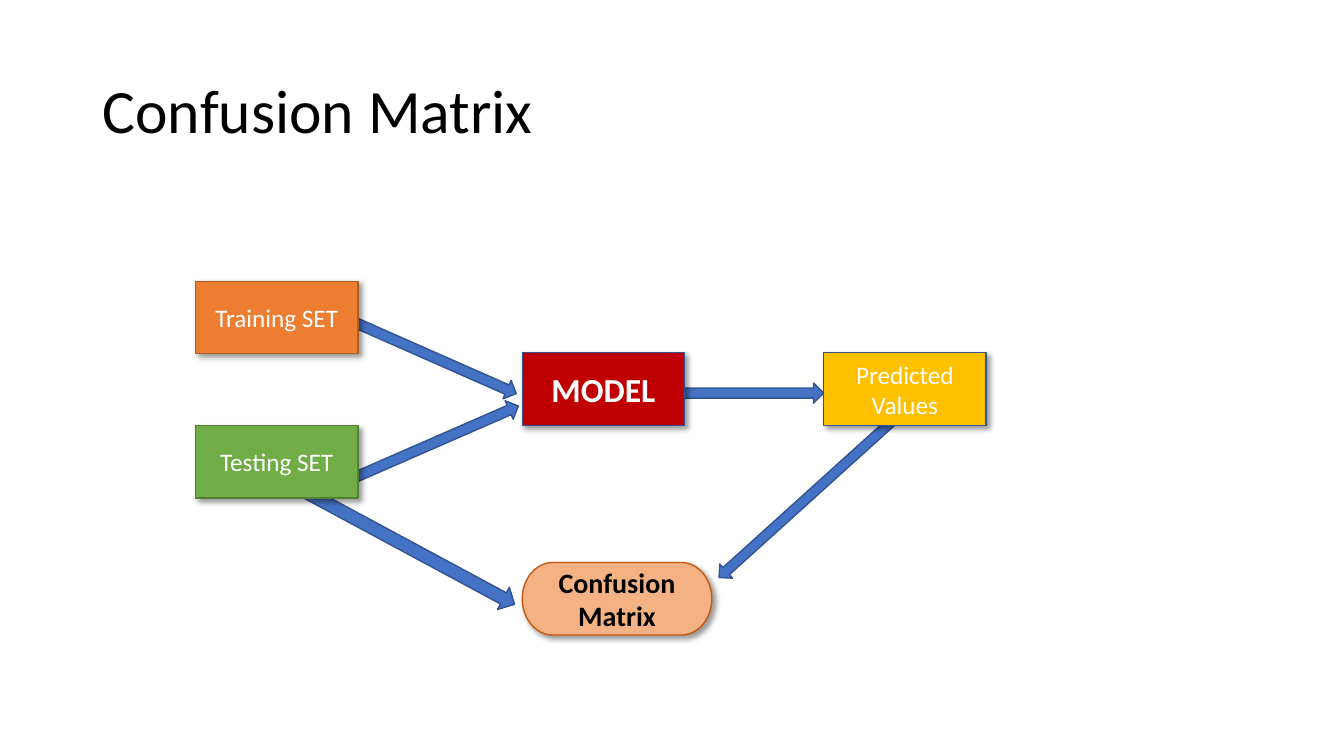
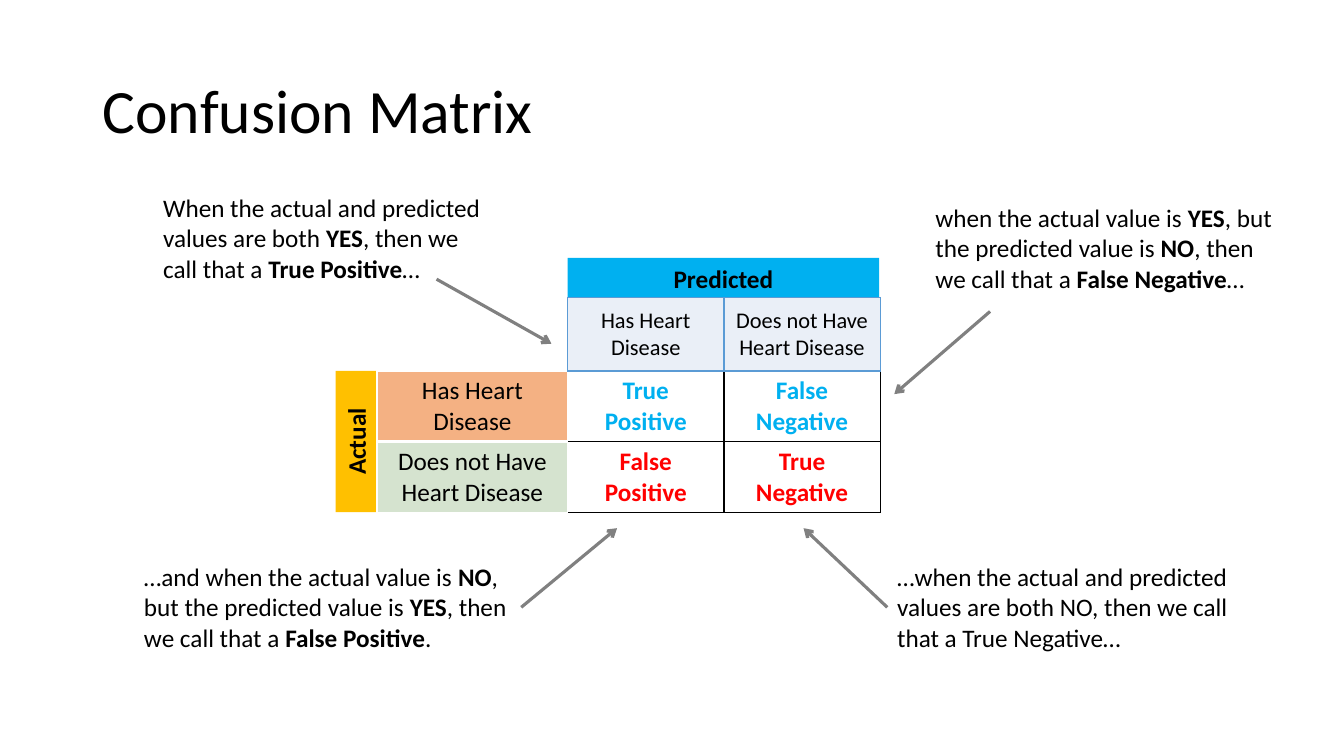
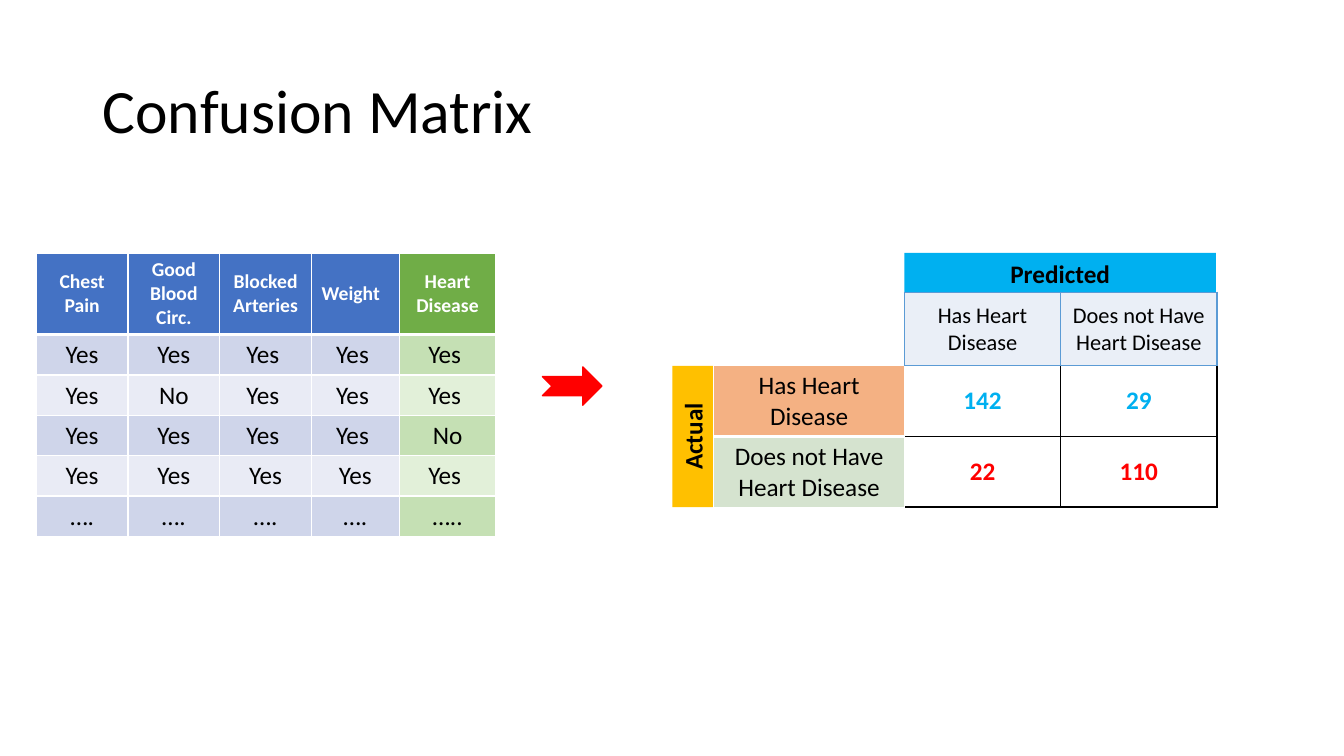
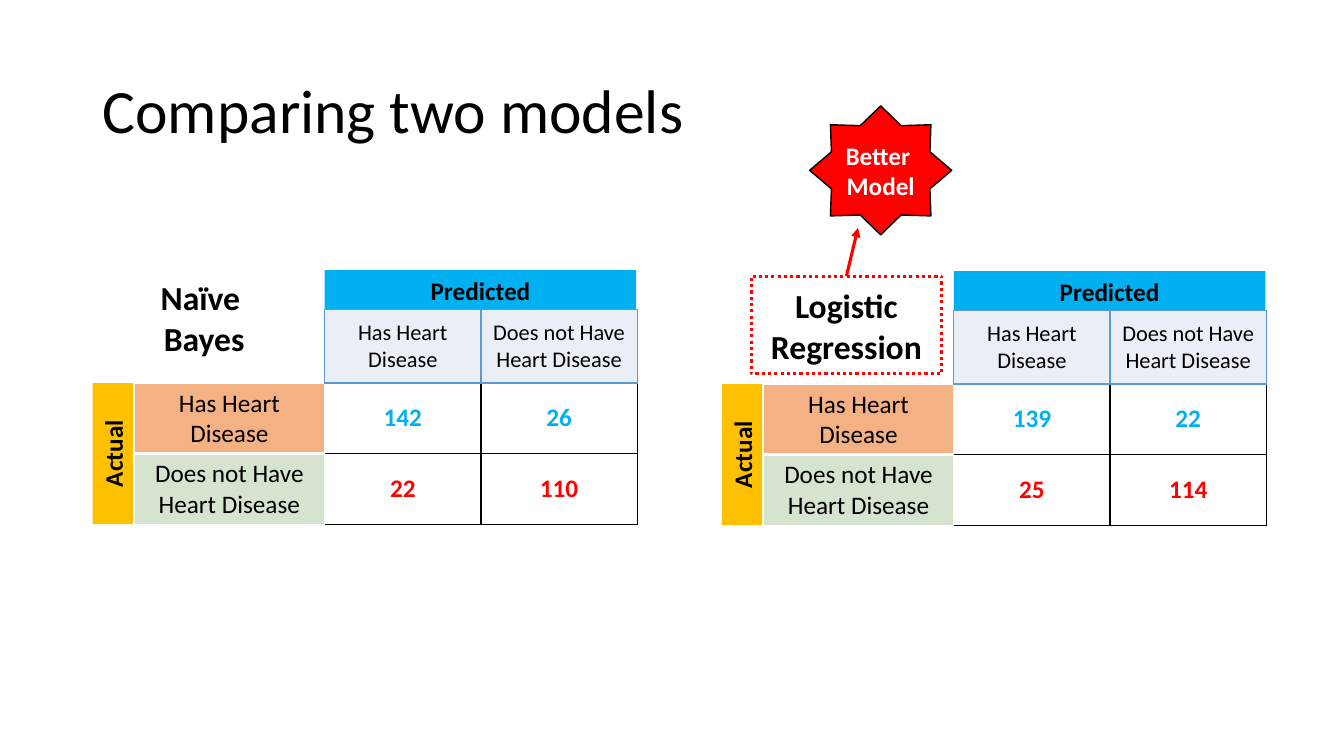
from lxml import etree
from pptx import Presentation
from pptx.dml.color import RGBColor
from pptx.enum.dml import MSO_LINE
from pptx.enum.shapes import MSO_CONNECTOR, MSO_SHAPE
from pptx.enum.text import MSO_ANCHOR, PP_ALIGN
from pptx.oxml import parse_xml
from pptx.oxml.ns import nsdecls, qn
from pptx.util import Inches, Pt

RECT, ARROW = MSO_SHAPE.RECTANGLE, MSO_SHAPE.RIGHT_ARROW
TERMINATOR, NOTCHED = MSO_SHAPE.FLOWCHART_TERMINATOR, MSO_SHAPE.NOTCHED_RIGHT_ARROW
STAR, STRAIGHT, DOTTED = MSO_SHAPE.STAR_8_POINT, MSO_CONNECTOR.STRAIGHT, MSO_LINE.ROUND_DOT
LEFT, CENTER = PP_ALIGN.LEFT, PP_ALIGN.CENTER
TOP, MIDDLE = MSO_ANCHOR.TOP, MSO_ANCHOR.MIDDLE

FONT = "Calibri"
BLACK = RGBColor(0x00, 0x00, 0x00)
WHITE = RGBColor(0xFF, 0xFF, 0xFF)
GRAY = RGBColor(0x80, 0x80, 0x80)
RED = RGBColor(0xFF, 0x00, 0x00)
DARK_RED = RGBColor(0xC0, 0x00, 0x00)
SKY = RGBColor(0x00, 0xB0, 0xF0)
BLUE = RGBColor(0x44, 0x72, 0xC4)
NAVY = RGBColor(0x32, 0x54, 0x91)
MID_BLUE = RGBColor(0x5B, 0x9B, 0xD5)
PALE_BLUE = RGBColor(0xEA, 0xEF, 0xF7)
BAND_DARK = RGBColor(0xCF, 0xD5, 0xEA)
BAND_LIGHT = RGBColor(0xE9, 0xEB, 0xF5)
GOLD = RGBColor(0xFF, 0xC0, 0x00)
ORANGE = RGBColor(0xED, 0x7D, 0x31)
ORANGE_LINE = RGBColor(0xAF, 0x5C, 0x24)
PEACH = RGBColor(0xF4, 0xB1, 0x83)
RUST = RGBColor(0xC5, 0x5A, 0x11)
GREEN = RGBColor(0x70, 0xAD, 0x47)
GREEN_LINE = RGBColor(0x53, 0x80, 0x35)
GREEN_DARK = RGBColor(0xC5, 0xE0, 0xB4)
GREEN_LIGHT = RGBColor(0xE2, 0xF0, 0xD9)
SAGE = RGBColor(0xD5, 0xE3, 0xCF)


def write(tf, text, size=18, color=BLACK, bold=False, align=CENTER, spacing=1.0):
    """Fill a text frame; a newline starts a paragraph, *asterisks* toggle bold."""
    tf.word_wrap = True
    for i, line in enumerate(text.split("\n")):
        p = tf.add_paragraph() if i else tf.paragraphs[0]
        p.alignment, p.line_spacing = align, spacing
        for j, part in enumerate(line.split("*")):
            r = p.add_run()
            r.text = part
            r.font.name, r.font.size = FONT, Pt(size)
            r.font.bold, r.font.color.rgb = bold or j % 2 == 1, color


def add_shape(s, kind, at, fill=None, line=None, width=1, rotation=0):
    sp = s.shapes.add_shape(kind, *map(Inches, at))
    sp.shadow.inherit = False
    sp.rotation = rotation
    for paint, color in ((sp.fill, fill), (sp.line.fill, line)):
        if color is None:
            paint.background()
        else:
            paint.solid()
            paint.fore_color.rgb = color
    if line is not None:
        sp.line.width = Pt(width)
    sp.text_frame.vertical_anchor = MIDDLE
    return sp


prs = Presentation()
prs.slide_width, prs.slide_height = Inches(13.33), Inches(7.5)
slides = []
for title in ["Confusion Matrix"] * 3 + ["Comparing two models"]:
    s = prs.slides.add_slide(prs.slide_layouts[6])
    tb = s.shapes.add_textbox(Inches(0.92), Inches(0.4), Inches(6.82), Inches(1.45))
    tb.text_frame.vertical_anchor = MIDDLE
    write(tb.text_frame, title, size=44, align=LEFT, spacing=0.9)
    slides.append(s)
flow, terms, example, comparison = slides

# Flow from data sets to the matrix
for at, rotation in [
    ((2.8, 5.29, 2.45, 0.25), 28.3),
    ((6.31, 3.8, 1.86, 0.2), 0),
    ((3.34, 3.43, 1.86, 0.2), 23.8),
    ((3.36, 4.3, 1.86, 0.2), 336.4),
    ((6.83, 4.85, 2.34, 0.19), 137.9),
]:
    add_shape(flow, ARROW, at, BLUE, NAVY, rotation=rotation)

for text, kind, x, y, w, fill, line, size, color, bold in [
    ("MODEL", RECT, 5.18, 3.5, 1.61, DARK_RED, NAVY, 24, WHITE, True),
    ("Confusion Matrix", TERMINATOR, 5.18, 5.58, 1.88, PEACH, RUST, 20, BLACK, True),
    ("Training SET", RECT, 1.94, 2.79, 1.61, ORANGE, ORANGE_LINE, 18, WHITE, False),
    ("Testing SET", RECT, 1.94, 4.22, 1.61, GREEN, GREEN_LINE, 18, WHITE, False),
    ("Predicted Values", RECT, 8.17, 3.5, 1.61, GOLD, NAVY, 18, WHITE, False),
]:
    sp = add_shape(flow, kind, (x, y, w, 0.72), fill, line)
    write(sp.text_frame, text, size, color, bold)
    sp._element.spPr.find(qn("a:effectLst")).append(parse_xml(
        f'<a:outerShdw {nsdecls("a")} blurRad="{Pt(4)}" dist="{Pt(3)}" dir="2700000" '
        'algn="tl" rotWithShape="0"><a:srgbClr val="000000"><a:alpha val="40000"/>'
        '</a:srgbClr></a:outerShdw>'))

# Tables: slide, left, top, widths, heights, cells, size, bold, border, first rule, open
# A cell is (text, fill, colour); an open table has no left and top border
tables = []
CLASSES = ["Has Heart Disease", "Does not Have Heart Disease"]
for s, x, y, values in [
    (terms, 5.63, 3.68, ["True\nPositive", "False\nNegative", "False\nPositive", "True\nNegative"]),
    (example, 8.97, 3.63, ["142", "29", "22", "110"]),
    (comparison, 3.22, 3.8, ["142", "26", "22", "110"]),
    (comparison, 9.46, 3.81, ["139", "22", "25", "114"]),
]:
    body = [[(v, None, color) for v in row]
            for row, color in ((values[:2], SKY), (values[2:], RED))]
    labels = [[(c, fill, BLACK)] for c, fill in zip(CLASSES, (PEACH, SAGE))]
    heads = [[(c, PALE_BLUE, BLACK) for c in CLASSES]]
    tables += [
        (s, x, y, [1.55] * 2, [0.7] * 2, body, 18, True, BLACK, 1, True),
        (s, x - 1.89, y, [1.89], [0.7] * 2, labels, 18, False, WHITE, 3, False),
        (s, x, y - 0.73, [1.55] * 2, [0.73], heads, 16, False, MID_BLUE, 1, False),
    ]
    bar = add_shape(s, RECT, (x, y - 1.12, 3.09, 0.4), SKY)
    write(bar.text_frame, "Predicted", bold=True)
    bar = add_shape(s, RECT, (x - 2.8, y + 0.5, 1.4, 0.4), GOLD, rotation=270)
    write(bar.text_frame, "Actual", bold=True)

patient_heads = ["Chest Pain", "Good Blood Circ.", "Blocked Arteries", "Weight", "Heart Disease"]
patients = [
    ["Yes", "Yes", "Yes ", "Yes ", "Yes "],
    ["Yes", "No", "Yes ", "Yes ", "Yes "],
    ["Yes", "Yes", "Yes ", "Yes ", "No"],
    ["Yes", "Yes", "Yes", "Yes", "Yes "],
    ["….", "….", "….", "….", "….."],
]
cells = [[(h, GREEN if c == 4 else BLUE, WHITE) for c, h in enumerate(patient_heads)]]
for i, row in enumerate(patients):
    band, last = ((BAND_DARK, GREEN_DARK), (BAND_LIGHT, GREEN_LIGHT))[i % 2]
    cells.append([(v, last if c == 4 else band, BLACK) for c, v in enumerate(row)])
tables.append((example, 0.36, 2.51, [0.91, 0.91, 0.91, 0.87, 0.96], [0.81] + [0.4] * 5,
               cells, 18, False, WHITE, 3, False))

for s, x, y, widths, heights, cells, size, bold, border, rule, is_open in tables:
    frame = s.shapes.add_table(len(heights), len(widths), Inches(x), Inches(y),
                               Inches(sum(widths)), Inches(sum(heights)))
    tbl = frame.table
    tbl.first_row = tbl.horz_banding = False
    for col, w in zip(tbl.columns, widths):
        col.width = Inches(w)
    for r, h in enumerate(heights):
        tbl.rows[r].height = Inches(h)
        for c, (text, fill, color) in enumerate(cells[r]):
            cell = tbl.cell(r, c)
            cell.vertical_anchor = MIDDLE
            is_head = color == WHITE
            write(cell.text_frame, text, 14 if is_head else size, color, bold or is_head,
                  LEFT if text == "Weight" else CENTER)
            if fill is None:
                cell.fill.background()
            else:
                cell.fill.solid()
                cell.fill.fore_color.rgb = fill
            tcPr = cell._tc.get_or_add_tcPr()
            for i, side in enumerate("LRTB"):
                hidden = is_open and ((side == "L" and c == 0) or (side == "T" and r == 0))
                width = rule if (side, r) in (("B", 0), ("T", 1)) else 1
                paint = ("<a:noFill/>" if hidden else
                         f'<a:solidFill><a:srgbClr val="{border}"/></a:solidFill>')
                tcPr.insert(i, parse_xml(
                    f'<a:ln{side} {nsdecls("a")} w="{Pt(width)}">{paint}</a:ln{side}>'))

# Connectors: slide, joined shape, its site, start, end, colour, head
arrows = []
for text, at, site, start, end in [
    ("When the actual and predicted values are both *YES*, then we call that a *True Positive*…",
     (1.52, 1.86, 3.46, 1.01), None, (4.33, 2.77), (5.47, 3.41)),
    ("when the actual value is *YES*, but the predicted value is *NO*, then we call that a "
     "*False Negative*…",
     (9.18, 1.96, 3.7, 1.01), None, (9.82, 3.09), (8.87, 3.91)),
    ("…and when the actual value is *NO*, but the predicted value is *YES*, then we call that a "
     "*False Positive*.",
     (1.33, 5.52, 3.84, 1.01), 3, (5.17, 6.03), (6.12, 5.24)),
    ("…when the actual and predicted values are both NO, then we call that a True Negative…",
     (8.8, 5.52, 3.53, 1.01), 1, (8.8, 6.03), (7.97, 5.24)),
]:
    note = terms.shapes.add_textbox(*map(Inches, at))
    write(note.text_frame, text, align=LEFT)
    arrows.append((terms, note, site, start, end, GRAY, "arrow"))

# From the patient table to its matrix
add_shape(example, NOTCHED, (5.38, 3.64, 0.59, 0.38), RED, RED)

# Model names and verdict
for text, x, y in [("Naïve \nBayes", 1.08, 2.7), ("Logistic\nRegression", 7.45, 2.78)]:
    name = comparison.shapes.add_textbox(Inches(x), Inches(y), Inches(1.89), Inches(0.91))
    name.text_frame.vertical_anchor = TOP
    write(name.text_frame, text, size=24, bold=True)
outline = add_shape(comparison, RECT, (7.45, 2.74, 1.89, 0.97), line=RED, width=2.25)
outline.line.dash_style = DOTTED
star = add_shape(comparison, STAR, (8.03, 1.05, 1.41, 1.28), RED, BLACK)
write(star.text_frame, "Better \nModel", color=WHITE, bold=True)
arrows.append((comparison, outline, 0, (8.4, 2.74), (8.51, 2.26), RED, "triangle"))

for s, joined, site, start, end, color, head in arrows:
    cn = s.shapes.add_connector(STRAIGHT, *map(Inches, start + end))
    if site is not None:
        cn.begin_connect(joined, site)
    cn.line.color.rgb, cn.line.width = color, Pt(2.25)
    etree.SubElement(cn.line._get_or_add_ln(), qn("a:tailEnd"), type=head)
    etree.SubElement(cn._element.spPr, qn("a:effectLst"))

prs.save("out.pptx")
